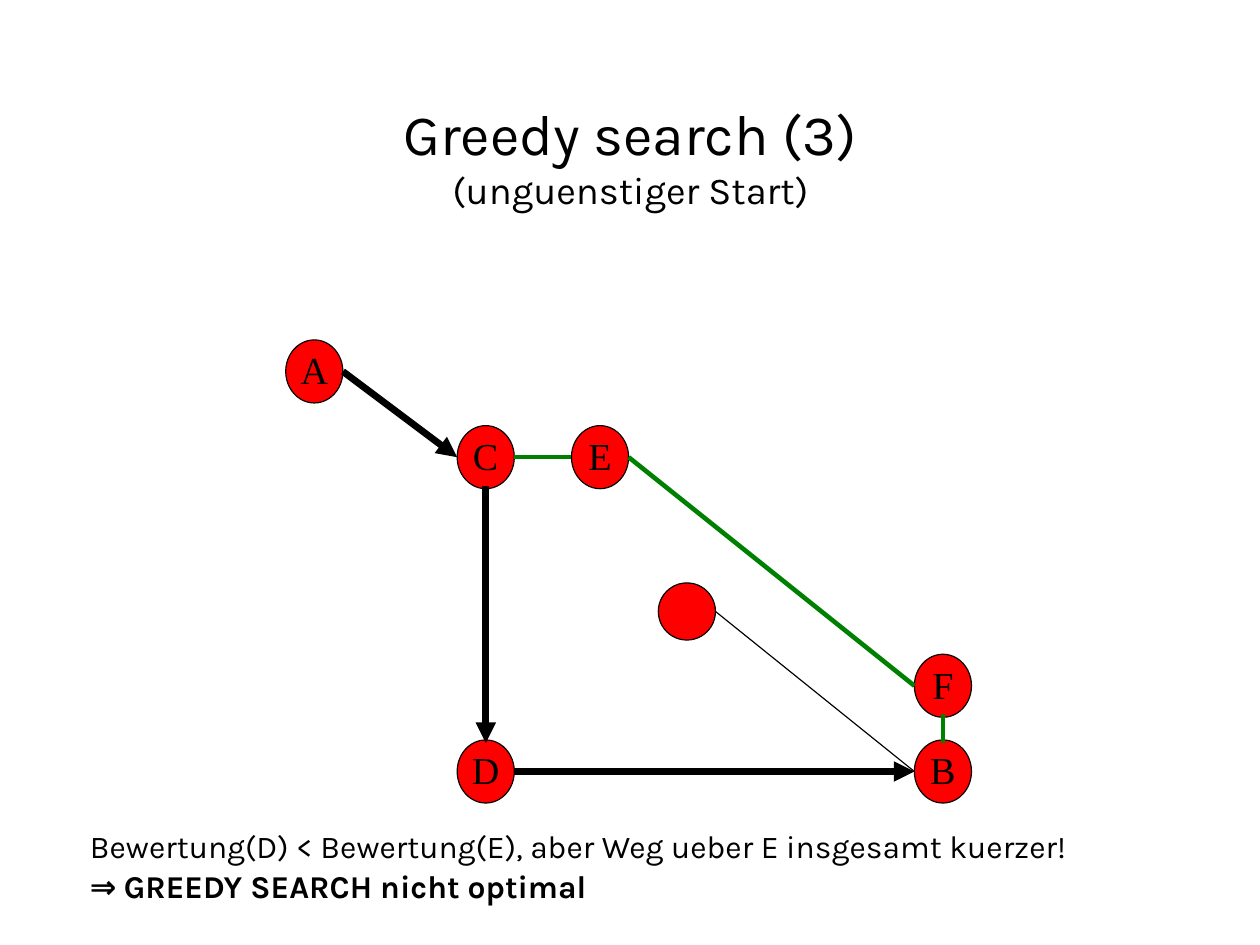
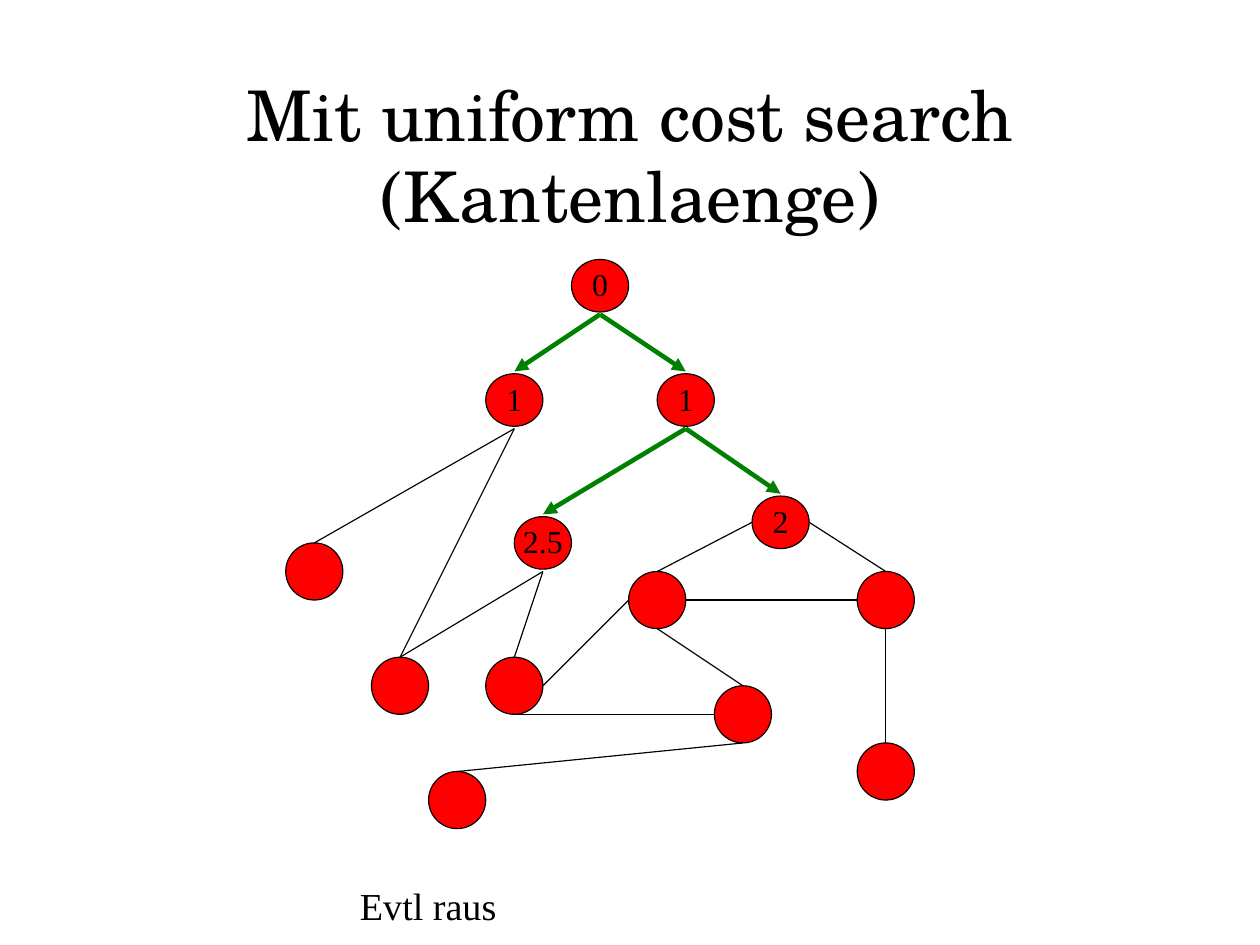
import dataclasses

import pptx
import pptx.dml.color
import pptx.enum.dml
import pptx.enum.shapes
import pptx.enum.text
import pptx.oxml
import pptx.oxml.ns
import pptx.util
from pptx.util import Cm


@dataclasses.dataclass(frozen=True)
class Theme:
    black = pptx.dml.color.RGBColor(0x00, 0x00, 0x00)
    red = pptx.dml.color.RGBColor(0xFF, 0x00, 0x00)
    green = pptx.dml.color.RGBColor(0x00, 0x80, 0x00)
    sans = "Karla"
    symbol = "Calibri"
    school = "TeX Gyre Schola"
    serif = "Times New Roman"
    title_size = 36
    subtitle_size = 24
    large_title_size = 44
    large_size = 24
    small_size = 20
    line_spacing = 0.97


theme = Theme()
GRID = 2.54  # centimetres per graph unit
RADIUS = 0.25
LABEL_HEIGHT = 0.023  # height of a labelled node per point of type
SIDES = {"top": (0, -RADIUS), "left": (-RADIUS, 0),
         "bottom": (0, RADIUS), "right": (RADIUS, 0)}
# colour, width in points, arrowhead
EDGE_STYLES = {
    "plain": (theme.black, 0.75, False),
    "step": (theme.black, 4.31, True),
    "path": (theme.green, 2.89, False),
    "expand": (theme.green, 2.89, True),
}
TITLE_PLACE = (Cm(2.06), Cm(1.68), Cm(23.9), Cm(3.66))
ALIGN = pptx.enum.text.PP_ALIGN
ANCHOR = pptx.enum.text.MSO_ANCHOR


def write_text(shape, text, font_name, size, align=ALIGN.CENTER,
               anchor=ANCHOR.MIDDLE, wrap=True):
    """Fill a shape with text; each item of a list is one paragraph."""
    frame = shape.text_frame
    frame.margin_left = frame.margin_right = 0
    frame.margin_top = frame.margin_bottom = 0
    frame.word_wrap = wrap
    frame.vertical_anchor = anchor
    frame.text = text
    for paragraph in frame.paragraphs:
        paragraph.alignment = align
        paragraph.line_spacing = theme.line_spacing
        for run in paragraph.runs:
            run.font.name = font_name
            run.font.size = pptx.util.Pt(size)
            run.font.color.rgb = theme.black
    return frame


def draw_graph(slide, nodes, edges, label_size):
    """Draw nodes (centre x, centre y, label) and the edges between their sides."""
    for x, y, label in nodes.values():
        height = LABEL_HEIGHT * label_size if label else 2 * RADIUS
        node = slide.shapes.add_shape(
            pptx.enum.shapes.MSO_SHAPE.OVAL,
            Cm(GRID * (x - RADIUS)), Cm(GRID * (y - height / 2)),
            Cm(GRID * 2 * RADIUS), Cm(GRID * height))
        node.shadow.inherit = False
        node.fill.solid()
        node.fill.fore_color.rgb = theme.red
        node.line.color.rgb = theme.black
        node.line.width = pptx.util.Pt(0.75)
        if label:
            write_text(node, label, theme.serif, label_size, wrap=False)

    for start, start_side, end, end_side, style in edges:
        points = []
        for name, side in ((start, start_side), (end, end_side)):
            x, y, label = nodes[name]
            shift_x, shift_y = SIDES[side]
            points += [Cm(GRID * (x + shift_x)), Cm(GRID * (y + shift_y))]
        edge = slide.shapes.add_connector(
            pptx.enum.shapes.MSO_CONNECTOR.STRAIGHT, *points)
        color, width, arrow = EDGE_STYLES[style]
        edge.line.color.rgb = color
        edge.line.width = pptx.util.Pt(width)
        if arrow:
            line = edge.line._get_or_add_ln()
            line.append(pptx.oxml.parse_xml(
                '<a:tailEnd %s type="triangle"/>' % pptx.oxml.ns.nsdecls("a")))
        edge._element.spPr.append(pptx.oxml.parse_xml(
            "<a:effectLst %s/>" % pptx.oxml.ns.nsdecls("a")))


presentation = pptx.Presentation()
presentation.slide_width = Cm(28)
presentation.slide_height = Cm(21)
blank_layout = presentation.slide_layouts[6]

# Greedy search
slide = presentation.slides.add_slide(blank_layout)
title = write_text(slide.shapes.add_textbox(*TITLE_PLACE),
                   "Greedy search (3)\v(unguenstiger Start)",
                   theme.sans, theme.title_size)
title.paragraphs[0].runs[1].font.size = pptx.util.Pt(theme.subtitle_size)

route_nodes = {
    "A": (2.75, 3.25, "A"),
    "D": (4.25, 6.75, "D"),
    "F": (8.25, 6, "F"),
    "C": (4.25, 4, "C"),
    "B": (8.25, 6.75, "B"),
    "unnamed": (6.01, 5.35, ""),
    "E": (5.25, 4, "E"),
}
route_edges = [
    ("A", "right", "C", "left", "step"),
    ("C", "right", "E", "left", "path"),
    ("E", "right", "F", "left", "path"),
    ("F", "bottom", "B", "top", "path"),
    ("D", "right", "B", "left", "step"),
    ("unnamed", "right", "B", "left", "plain"),
    ("C", "bottom", "D", "top", "step"),
]
draw_graph(slide, route_nodes, route_edges, theme.large_size)

caption_box = slide.shapes.add_textbox(Cm(2), Cm(18.42), Cm(24.94), Cm(1.68))
caption = write_text(
    caption_box,
    "Bewertung(D) < Bewertung(E), aber Weg ueber E insgesamt kuerzer!\n⇒ ",
    theme.sans, theme.small_size, ALIGN.LEFT, ANCHOR.TOP)
conclusion = caption.paragraphs[1]
conclusion.line_spacing = 1.02
conclusion.add_run().text = "GREEDY SEARCH nicht optimal"
for run, font_name in zip(conclusion.runs, (theme.symbol, theme.sans)):
    run.font.name = font_name
    run.font.size = pptx.util.Pt(theme.small_size)
    run.font.bold = True
    run.font.color.rgb = theme.black

# Uniform cost search
slide = presentation.slides.add_slide(blank_layout)
write_text(slide.shapes.add_textbox(*TITLE_PLACE),
           "Mit uniform cost search\v(Kantenlaenge)",
           theme.school, theme.large_title_size)

cost_nodes = {
    "root": (5.25, 2.5, "0"),
    "hub": (5.75, 5.25, ""),
    "east end": (7.75, 6.75, ""),
    "cost 2": (6.83, 4.57, "2"),
    "south end": (4, 7, ""),
    "middle": (4.5, 6, ""),
    "east": (7.75, 5.25, ""),
    "south": (6.5, 6.25, ""),
    "west": (3.5, 6, ""),
    "cost 2.5": (4.75, 4.75, "2.5"),
    "west end": (2.75, 5, ""),
    "right 1": (6, 3.5, "1"),
    "left 1": (4.5, 3.5, "1"),
}
cost_edges = [
    ("root", "bottom", "left 1", "top", "expand"),
    ("root", "bottom", "right 1", "top", "expand"),
    ("left 1", "bottom", "west end", "top", "plain"),
    ("left 1", "bottom", "west", "top", "plain"),
    ("west", "top", "cost 2.5", "bottom", "plain"),
    ("cost 2.5", "bottom", "middle", "top", "plain"),
    ("middle", "bottom", "south", "left", "plain"),
    ("south", "bottom", "south end", "top", "plain"),
    ("right 1", "bottom", "cost 2", "top", "expand"),
    ("right 1", "bottom", "cost 2.5", "top", "expand"),
    ("cost 2", "right", "east", "top", "plain"),
    ("east", "left", "hub", "right", "plain"),
    ("hub", "left", "middle", "right", "plain"),
    ("cost 2", "left", "hub", "top", "plain"),
    ("east", "bottom", "east end", "top", "plain"),
    ("hub", "bottom", "south", "top", "plain"),
]
draw_graph(slide, cost_nodes, cost_edges, theme.small_size)
remark_box = slide.shapes.add_textbox(Cm(8), Cm(19.66), Cm(3.5), Cm(1))
write_text(remark_box, "Evtl raus", theme.serif, theme.large_size,
           ALIGN.LEFT, ANCHOR.TOP)

presentation.save("out.pptx")
